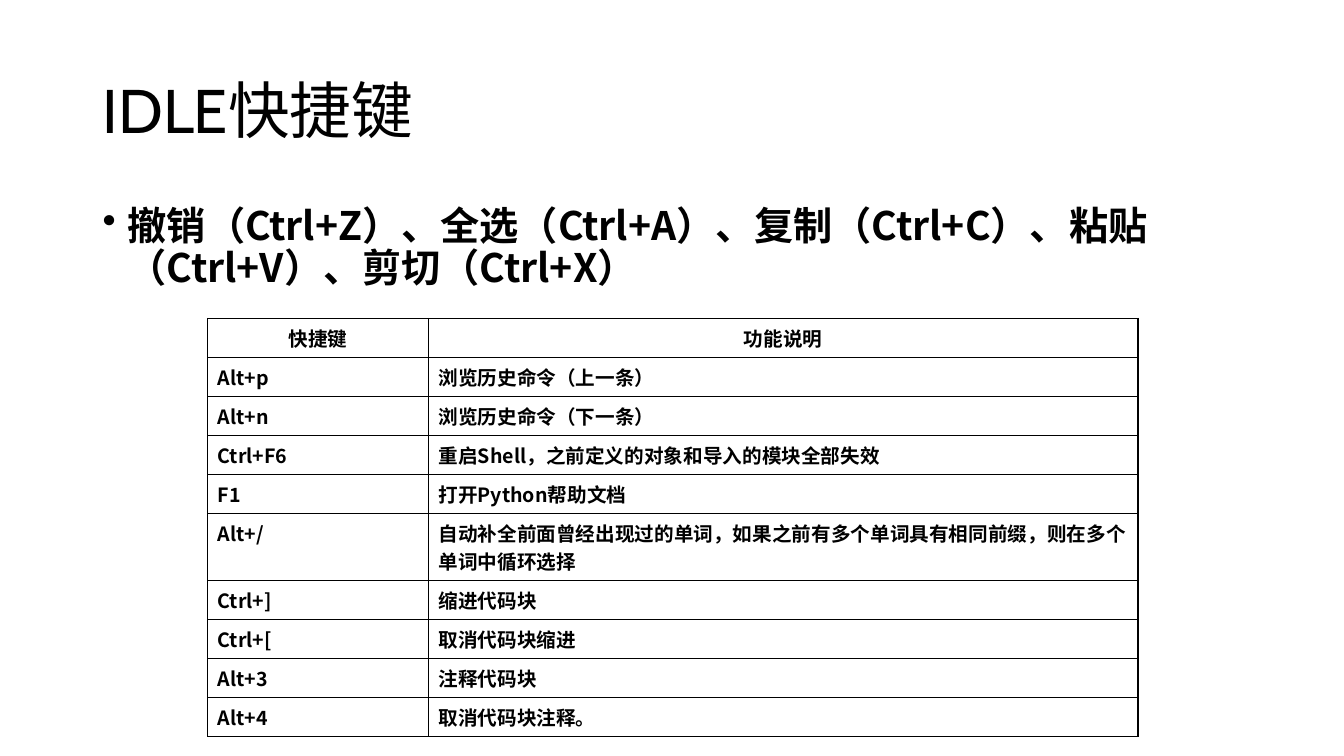
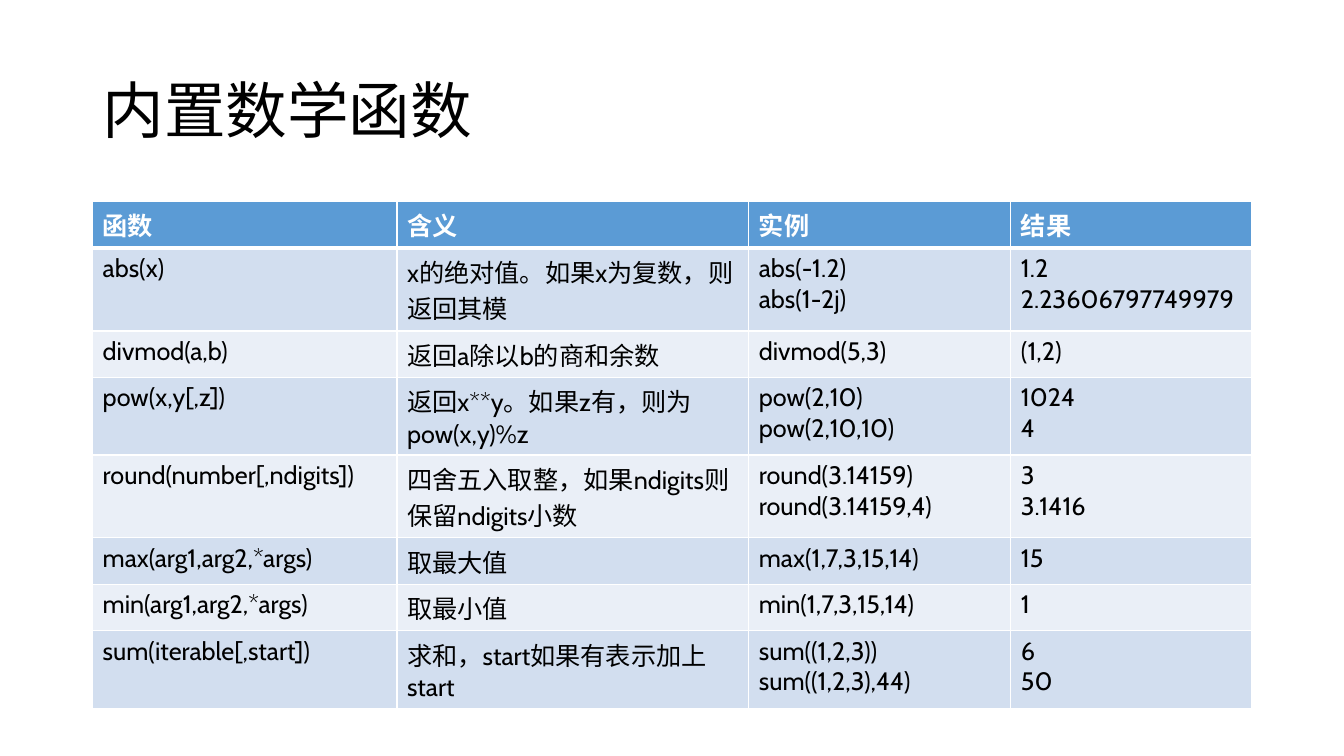
from dataclasses import dataclass

from lxml.etree import SubElement
from pptx import Presentation
from pptx.dml.color import RGBColor as Rgb
from pptx.enum.text import MSO_ANCHOR as Anchor, PP_ALIGN as Align
from pptx.oxml.ns import qn
from pptx.util import Pt


@dataclass(frozen=True)
class Theme:
    """Colours, fonts and type sizes shared by the slides."""
    black: str = "000000"
    white: str = "FFFFFF"
    header: str = "5B9BD5"
    bands: tuple = ("D2DEEF", "EAEFF7")
    latin: str = "Cabin"
    cjk: str = "Noto Sans CJK SC"
    title_size: int = 44
    body_size: int = 28
    function_size: int = 18
    shortcut_size: int = 14


@dataclass(frozen=True)
class TableStyle:
    """Look of one table: type, fills and rules."""
    font: str
    size: int
    border: str
    header_color: str
    header_align: Align
    header_fill: str = ""
    bands: tuple = ("",)
    header_rule: float = 1
    body_bold: bool = False


THEME = Theme()
LEFT, WIDTH = 66.2, 828

SHORTCUT_STYLE = TableStyle(THEME.cjk, THEME.shortcut_size, THEME.black, THEME.black,
                            Align.CENTER, body_bold=True)
FUNCTION_STYLE = TableStyle(THEME.latin, THEME.function_size, THEME.white, THEME.white,
                            Align.LEFT, THEME.header, THEME.bands, header_rule=3)

EDITING_KEYS = "撤销（Ctrl+Z）、全选（Ctrl+A）、复制（Ctrl+C）、粘贴（Ctrl+V）、剪切（Ctrl+X）"
SHORTCUTS = [
    ("快捷键", "功能说明"),
    ("Alt+p", "浏览历史命令（上一条）"),
    ("Alt+n", "浏览历史命令（下一条）"),
    ("Ctrl+F6", "重启Shell，之前定义的对象和导入的模块全部失效"),
    ("F1", "打开Python帮助文档"),
    ("Alt+/", "自动补全前面曾经出现过的单词，如果之前有多个单词具有相同前缀，则在多个单词中循环选择"),
    ("Ctrl+]", "缩进代码块"),
    ("Ctrl+[", "取消代码块缩进"),
    ("Alt+3", "注释代码块"),
    ("Alt+4", "取消代码块注释。"),
]
FUNCTIONS = [
    ("函数", "含义", "实例", "结果"),
    ("abs(x)", "x的绝对值。如果x为复数，则返回其模", "abs(-1.2)\nabs(1-2j)", "1.2\n2.23606797749979"),
    ("divmod(a,b)", "返回a除以b的商和余数", "divmod(5,3)", "(1,2)"),
    ("pow(x,y[,z])", "返回x**y。如果z有，则为pow(x,y)%z", "pow(2,10)\npow(2,10,10)", "1024\n4"),
    ("round(number[,ndigits])", "四舍五入取整，如果ndigits则保留ndigits小数",
     "round(3.14159)\nround(3.14159,4)", "3\n3.1416"),
    ("max(arg1,arg2,*args)", "取最大值", "max(1,7,3,15,14)", "15"),
    ("min(arg1,arg2,*args)", "取最小值", "min(1,7,3,15,14)", "1"),
    ("sum(iterable[,start])", "求和，start如果有表示加上start", "sum((1,2,3))\nsum((1,2,3),44)", "6\n50"),
]


def style_text(frame, font, size, color, bold=False, align=Align.LEFT):
    """Set type and alignment on every paragraph of a text frame."""
    for paragraph in frame.paragraphs:
        paragraph.alignment = align
        face = paragraph.font
        face.size, face.bold, face.name = Pt(size), bold, font
        face.color.rgb = Rgb.from_string(color)
        properties = paragraph._p.get_or_add_pPr().find(qn("a:defRPr"))
        SubElement(properties, qn("a:ea"), typeface=THEME.cjk)


def add_text(slide, text, top, height, anchor, font, size, bold=False):
    """Add a wrapped text box across the content width and return its paragraph."""
    frame = slide.shapes.add_textbox(Pt(LEFT), Pt(top), Pt(WIDTH), Pt(height)).text_frame
    frame.word_wrap, frame.vertical_anchor, frame.text = True, anchor, text
    style_text(frame, font, size, THEME.black, bold)
    paragraph = frame.paragraphs[0]
    paragraph.line_spacing = 0.9
    return paragraph


def add_titled_slide(deck, title):
    """Add a blank slide with the shared title."""
    slide = deck.slides.add_slide(deck.slide_layouts[6])
    add_text(slide, title, 28.8, 104.4, Anchor.MIDDLE, THEME.latin, THEME.title_size)
    return slide


def add_bullet(slide, text):
    """Add the bold bulleted statement under the title."""
    bullet = add_text(slide, text, 144, 80, Anchor.TOP, THEME.cjk, THEME.body_size, True)
    properties = bullet._p.get_or_add_pPr()
    properties.set("marL", str(Pt(18)))
    properties.set("indent", str(-Pt(18)))
    mark = SubElement(properties, qn("a:buChar"), char="•")
    properties.find(qn("a:defRPr")).addprevious(mark)


def fill_cell(cell, color):
    """Fill a cell, or leave it clear when no colour is given."""
    if color:
        cell.fill.solid()
        cell.fill.fore_color.rgb = Rgb.from_string(color)
    else:
        cell.fill.background()


def rule_cell(cell, color, top, bottom):
    """Draw the four borders of a cell."""
    properties = cell._tc.get_or_add_tcPr()
    for index, (side, width) in enumerate((("L", 1), ("R", 1), ("T", top), ("B", bottom))):
        line = SubElement(properties, qn(f"a:ln{side}"), w=str(Pt(width)))
        SubElement(SubElement(line, qn("a:solidFill")), qn("a:srgbClr"), val=color)
        properties.insert(index, line)


def add_grid(slide, rows, left, top, widths, heights, style):
    """Add a table with a header row and a repeating band of fills."""
    table = slide.shapes.add_table(len(rows), len(widths), Pt(left), Pt(top),
                                   Pt(sum(widths)), Pt(sum(heights))).table
    table.first_row = table.horz_banding = False
    for column, width in zip(table.columns, widths):
        column.width = Pt(width)
    for index, (row, height, texts) in enumerate(zip(table.rows, heights, rows)):
        row.height = Pt(height)
        is_header = index == 0
        fill = style.header_fill if is_header else style.bands[(index - 1) % len(style.bands)]
        for cell, text in zip(row.cells, texts):
            cell.text_frame.text = text
            style_text(cell.text_frame, style.font, style.size,
                       style.header_color if is_header else THEME.black,
                       is_header or style.body_bold,
                       style.header_align if is_header else Align.LEFT)
            fill_cell(cell, fill)
            rule_cell(cell, style.border, style.header_rule if index == 1 else 1,
                      style.header_rule if is_header else 1)


def main():
    """Build both slides and save the deck."""
    deck = Presentation()
    deck.slide_width, deck.slide_height = Pt(960), Pt(540)

    shortcuts = add_titled_slide(deck, "IDLE快捷键")
    add_bullet(shortcuts, EDITING_KEYS)
    add_grid(shortcuts, SHORTCUTS, 148.3, 227.5, (157.7, 506.9),
             [27.85] * 5 + [47.9] + [27.85] * 4, SHORTCUT_STYLE)

    functions = add_titled_slide(deck, "内置数学函数")
    single, double, mixed = 33.2, 59.2, 55.4
    add_grid(functions, FUNCTIONS, LEFT, 144, (217.4, 251.3, 187.2, 172.1),
             [single, double, single, mixed, double, single, single, mixed], FUNCTION_STYLE)

    deck.save("out.pptx")


if __name__ == "__main__":
    main()
